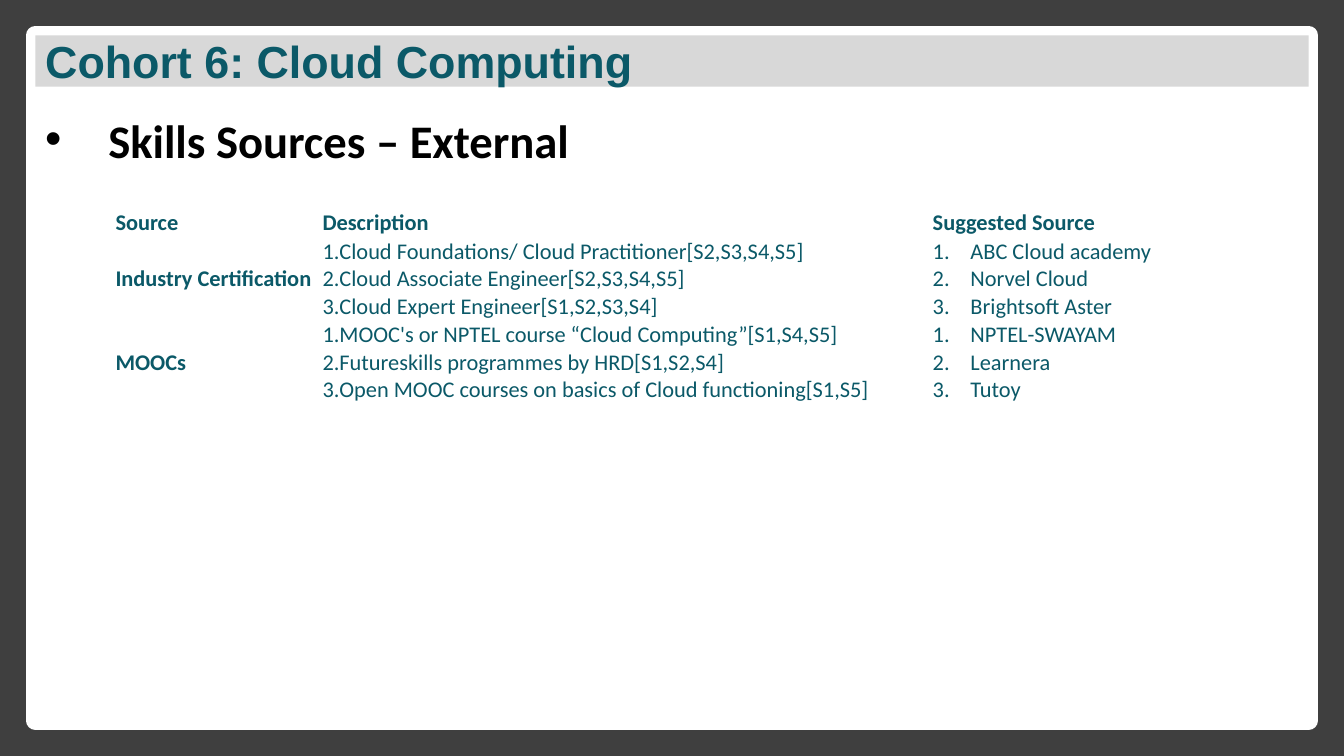
from lxml import etree
from pptx import Presentation
from pptx import util as u
from pptx.dml.color import RGBColor
from pptx.enum import shapes, text
from pptx.oxml import ns

NEAR_BLACK = RGBColor(0x0C, 0x0C, 0x0C)
CHARCOAL = RGBColor(0x3F, 0x3F, 0x3F)
SILVER = RGBColor(0xD8, 0xD8, 0xD8)
WHITE = RGBColor(0xFF, 0xFF, 0xFF)
BLACK = RGBColor(0, 0, 0)
TEAL = RGBColor(0x0B, 0x59, 0x68)

WIDTH, HEIGHT = 720, 405
MARGIN = 18.9
INNER_WIDTH = WIDTH - 2 * MARGIN

TITLE = {"name": "Arial", "size": u.Pt(24), "bold": True, "color": TEAL}
HEADING = {"name": "Calibri", "size": u.Pt(25), "bold": True, "color": BLACK}
LABEL = {"name": "Calibri", "size": u.Pt(12), "bold": True, "color": TEAL}
ENTRY = {**LABEL, "bold": False}

COLUMNS = [110.9, 326.9, 164.1]
ROWS = [13, 38.2, 41]
HEADERS = ["Source", "Description", "Suggested Source"]
SOURCES = [
    ("Industry Certification",
     ["Cloud Foundations/ Cloud Practitioner[S2,S3,S4,S5]",
      "Cloud Associate Engineer[S2,S3,S4,S5]",
      "Cloud Expert Engineer[S1,S2,S3,S4]"],
     ["ABC Cloud academy", "Norvel Cloud", "Brightsoft Aster"]),
    ("MOOCs",
     ["MOOC's or NPTEL course “Cloud Computing”[S1,S4,S5]",
      "Futureskills programmes by HRD[S1,S2,S4]",
      "Open MOOC courses on basics of Cloud functioning[S1,S5]"],
     ["NPTEL-SWAYAM", "Learnera", "Tutoy"]),
]


class SlideBuilder:
    """Holds the deck, the current slide and the shared style."""

    def __init__(self):
        self.deck = Presentation()
        self.deck.slide_width, self.deck.slide_height = u.Pt(WIDTH), u.Pt(HEIGHT)
        self.page = self.deck.slides.add_slide(self.deck.slide_layouts[5])
        fill = self.page.background.fill
        fill.solid()
        fill.fore_color.rgb = NEAR_BLACK

    def add_span(self, para, words, style):
        span = para.add_run()
        span.text = words
        for key, value in style.items():
            if key == "color":
                span.font.color.rgb = value
            else:
                setattr(span.font, key, value)

    def bullet(self, para, color, left, hanging, symbol=None):
        """Give the paragraph a symbol, or a running number without one."""
        props = para._p.get_or_add_pPr()
        props.set("marL", str(u.Pt(left)))
        props.set("indent", str(u.Pt(-hanging)))
        paint = etree.SubElement(props, ns.qn("a:buClr"))
        etree.SubElement(paint, ns.qn("a:srgbClr"), val=str(color))
        if symbol:
            etree.SubElement(props, ns.qn("a:buFont"), typeface="Arial")
            etree.SubElement(props, ns.qn("a:buChar"), char=symbol)
        else:
            etree.SubElement(props, ns.qn("a:buFont"), typeface="+mj-lt")
            etree.SubElement(props, ns.qn("a:buAutoNum"), type="arabicPeriod")

    def set_frame(self, frame, inset_x, inset_y):
        settings = {
            "margin_left": u.Pt(inset_x), "margin_right": u.Pt(inset_x),
            "margin_top": u.Pt(inset_y), "margin_bottom": u.Pt(inset_y),
            "word_wrap": True, "auto_size": text.MSO_AUTO_SIZE.NONE,
            "vertical_anchor": text.MSO_ANCHOR.MIDDLE,
        }
        for key, value in settings.items():
            setattr(frame, key, value)

    def panel(self, left, top, width, height, color, line=None):
        box = self.page.shapes.add_shape(
            shapes.MSO_SHAPE.RECTANGLE, *map(u.Pt, (left, top, width, height)))
        box.shadow.inherit = False
        box.fill.solid()
        box.fill.fore_color.rgb = color
        if line:
            box.line.color.rgb = color
            box.line.width = u.Pt(line)
        else:
            box.line.fill.background()

    def title(self, words, left, top, width, height):
        box = self.page.shapes.title
        self.page.shapes._spTree.append(box._element)  # bring in front of the panels
        box.left, box.top, box.width, box.height = map(u.Pt, (left, top, width, height))
        box.fill.solid()
        box.fill.fore_color.rgb = SILVER
        self.set_frame(box.text_frame, 5.3, 6.5)
        para = box.text_frame.paragraphs[0]
        para.alignment = text.PP_ALIGN.LEFT
        self.add_span(para, words, TITLE)

    def heading(self, words, left, top, width, height):
        box = self.page.shapes.add_textbox(*map(u.Pt, (left, top, width, height)))
        self.set_frame(box.text_frame, 5.3, 2.9)
        para = box.text_frame.paragraphs[0]
        self.bullet(para, BLACK, 33.8, 33.8, "•")
        para.line_spacing = 0.7
        self.add_span(para, words, HEADING)

    def fill_cell(self, cell, lines, style, indent=None):
        cell.fill.background()
        cell.vertical_anchor = text.MSO_ANCHOR.MIDDLE
        for side, inset in dict(left=0.7, right=0.7, top=0.7, bottom=0).items():
            setattr(cell, f"margin_{side}", u.Pt(inset))
        frame = cell.text_frame
        for index, words in enumerate(lines):
            para = frame.add_paragraph() if index else frame.paragraphs[0]
            if indent:
                self.bullet(para, TEAL, *indent)
            self.add_span(para, words, style)

    def source_table(self, left, top):
        table = self.page.shapes.add_table(
            len(ROWS), len(COLUMNS),
            *map(u.Pt, (left, top, sum(COLUMNS), sum(ROWS)))).table
        table.first_row = table.horz_banding = False
        for column, width in zip(table.columns, COLUMNS):
            column.width = u.Pt(width)
        for row, height in zip(table.rows, ROWS):
            row.height = u.Pt(height)
        for index, words in enumerate(HEADERS):
            self.fill_cell(table.cell(0, index), [words], LABEL)
        for index, (name, skills, providers) in enumerate(SOURCES, 1):
            self.fill_cell(table.cell(index, 0), [name], LABEL)
            self.fill_cell(table.cell(index, 1), skills, ENTRY, (0, 5.8))
            self.fill_cell(table.cell(index, 2), providers, ENTRY, (20.2, 20.2))


def main():
    slide = SlideBuilder()
    slide.panel(0, 0, WIDTH, HEIGHT, CHARCOAL)
    slide.panel(MARGIN, MARGIN, INNER_WIDTH, HEIGHT - 2 * MARGIN, WHITE, line=10)
    slide.title("Cohort 6: Cloud Computing", MARGIN, MARGIN, INNER_WIDTH, 27.5)
    slide.heading("Skills Sources – External", MARGIN, 64.8, 620.6, 27.4)
    slide.source_table(61.2, 111.6)
    slide.deck.save("out.pptx")


if __name__ == "__main__":
    main()
